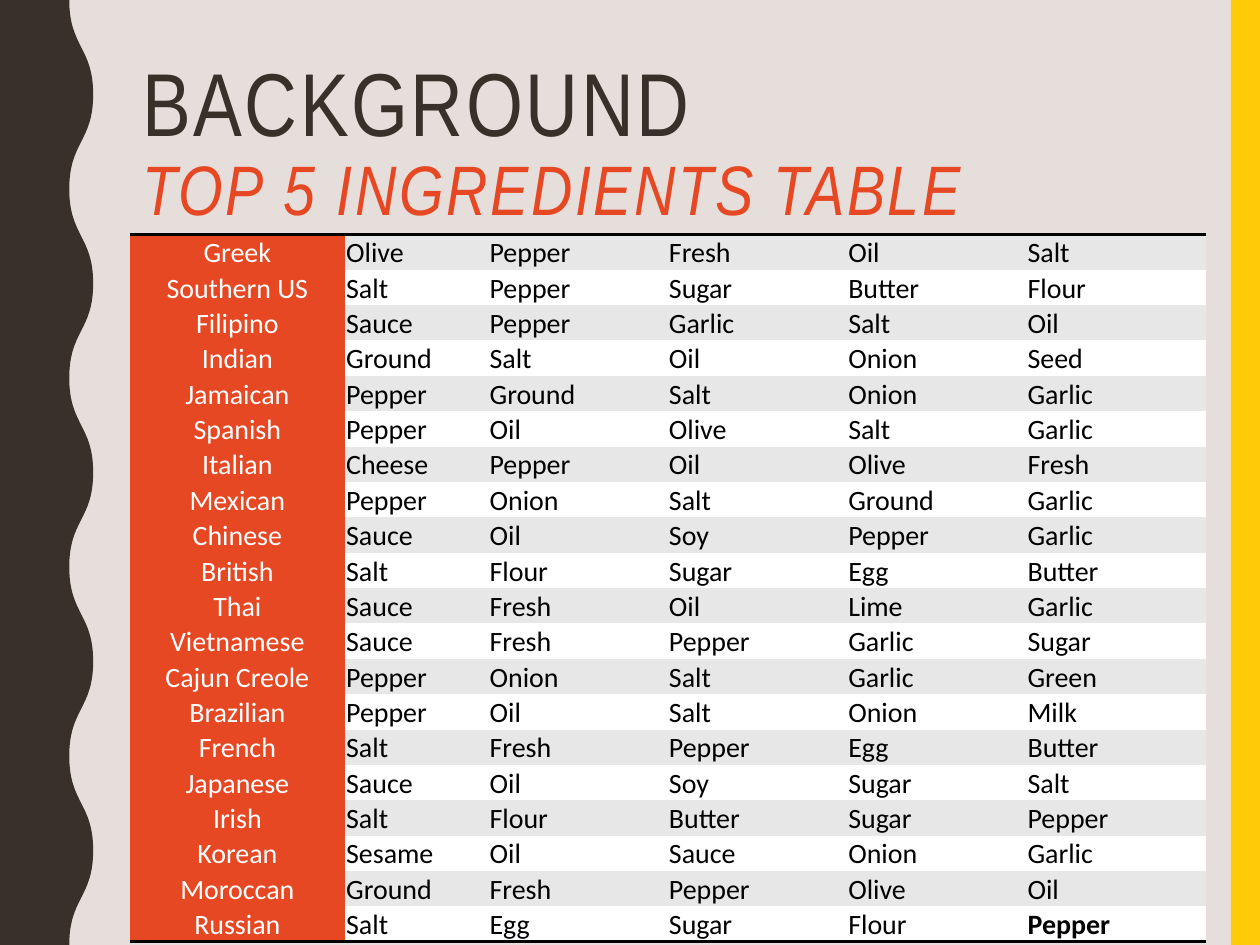
from lxml import etree
from pptx import Presentation
from pptx.dml.color import RGBColor
from pptx.enum.shapes import MSO_SHAPE
from pptx.enum.text import MSO_ANCHOR, PP_ALIGN
from pptx.oxml import parse_xml
from pptx.oxml.ns import nsdecls, qn
from pptx.util import Inches, Pt

RECTANGLE = MSO_SHAPE.RECTANGLE
TOP, BOTTOM = MSO_ANCHOR.TOP, MSO_ANCHOR.BOTTOM
CENTER, LEFT = PP_ALIGN.CENTER, PP_ALIGN.LEFT

BACKDROP = RGBColor(0xE5, 0xDE, 0xDB)
BROWN = RGBColor(0x39, 0x30, 0x2A)
YELLOW = RGBColor(0xFF, 0xCA, 0x08)
ORANGE = RGBColor(0xE6, 0x48, 0x23)
GRAY = RGBColor(0xE7, 0xE7, 0xE7)
WHITE = RGBColor(0xFF, 0xFF, 0xFF)
BLACK = RGBColor(0, 0, 0)

TITLE_FONT, TABLE_FONT = "Arial Narrow", "Calibri"
SLIDE_WIDTH, SLIDE_HEIGHT = 10, 7.5
NO_TABLE_STYLE = "{2D5ABB26-0587-4C30-8999-92F81FD0307C}"
COLUMN_SHARES = [6, 4, 5, 5, 5, 5]

CUISINES = [
    ("Greek", "Olive", "Pepper", "Fresh", "Oil", "Salt"),
    ("Southern US", "Salt", "Pepper", "Sugar", "Butter", "Flour"),
    ("Filipino", "Sauce", "Pepper", "Garlic", "Salt", "Oil"),
    ("Indian", "Ground", "Salt", "Oil", "Onion", "Seed"),
    ("Jamaican", "Pepper", "Ground", "Salt", "Onion", "Garlic"),
    ("Spanish", "Pepper", "Oil", "Olive", "Salt", "Garlic"),
    ("Italian", "Cheese", "Pepper", "Oil", "Olive", "Fresh"),
    ("Mexican", "Pepper", "Onion", "Salt", "Ground", "Garlic"),
    ("Chinese", "Sauce", "Oil", "Soy", "Pepper", "Garlic"),
    ("British", "Salt", "Flour", "Sugar", "Egg", "Butter"),
    ("Thai", "Sauce", "Fresh", "Oil", "Lime", "Garlic"),
    ("Vietnamese", "Sauce", "Fresh", "Pepper", "Garlic", "Sugar"),
    ("Cajun Creole", "Pepper", "Onion", "Salt", "Garlic", "Green"),
    ("Brazilian", "Pepper", "Oil", "Salt", "Onion", "Milk"),
    ("French", "Salt", "Fresh", "Pepper", "Egg", "Butter"),
    ("Japanese", "Sauce", "Oil", "Soy", "Sugar", "Salt"),
    ("Irish", "Salt", "Flour", "Butter", "Sugar", "Pepper"),
    ("Korean", "Sesame", "Oil", "Sauce", "Onion", "Garlic"),
    ("Moroccan", "Ground", "Fresh", "Pepper", "Olive", "Oil"),
    ("Russian", "Salt", "Egg", "Sugar", "Flour", "Pepper"),
]


def paint(shape, color):
    shape.fill.solid()
    shape.fill.fore_color.rgb = color
    shape.line.fill.background()
    shape.shadow.inherit = False


def format_run(run, font, size, color):
    run.font.name = font
    run.font.size = Pt(size)
    run.font.color.rgb = color


def add_side_bar(slide, left, top, width, height):
    bar = slide.shapes.add_shape(
        RECTANGLE, Inches(left), Inches(top), Inches(width), Inches(height))
    paint(bar, YELLOW)


def bend(line, start, end):
    """Turn a straight outline segment into an S-curve with upright ends."""
    line.tag = qn("a:cubicBezTo")
    for point in list(line):
        line.remove(point)
    middle = (start[1] + end[1]) // 2
    for x, y in [(start[0], middle), (end[0], middle), end]:
        etree.SubElement(line, qn("a:pt"), x=str(x), y=str(y))


def add_wavy_band(slide, left, top, width, height, trough=0.55, waves=5):
    """Draw a band whose right edge swings between trough and width."""
    half_wave = height / (2 * waves)
    nodes = [(Inches(width if index % 2 else trough), Inches(index * half_wave))
             for index in range(2 * waves + 1)]
    corners = [(0, Inches(height)), (0, 0)]
    builder = slide.shapes.build_freeform(*nodes[0])
    builder.add_line_segments(nodes[1:] + corners)
    band = builder.convert_to_shape(Inches(left), Inches(top))
    lines = list(band._element.iter(qn("a:lnTo")))
    for line, start, end in zip(lines, nodes, nodes[1:]):
        bend(line, start, end)
    paint(band, BROWN)


def add_title(slide, left, top, width, height):
    box = slide.shapes.add_textbox(
        Inches(left), Inches(top), Inches(width), Inches(height))
    frame = box.text_frame
    frame.word_wrap = True
    frame.vertical_anchor = TOP
    paragraph = frame.paragraphs[0]
    paragraph.text = "BACKGROUND\vTOP 5 INGREDIENTS TABLE"
    paragraph.line_spacing = 0.9
    heading, subheading = paragraph.runs
    format_run(heading, TITLE_FONT, 51, BROWN)
    format_run(subheading, TITLE_FONT, 40, ORANGE)
    subheading.font.italic = True
    for run in paragraph.runs:
        run.font._element.set("spc", "150")


def add_rule(cell, tag):
    """Give one side of a cell, lnT or lnB, a black 2 pt border."""
    border = parse_xml(f'<a:{tag} {nsdecls("a")} w="{Pt(2)}"/>')
    fill = etree.SubElement(border, qn("a:solidFill"))
    etree.SubElement(fill, qn("a:srgbClr"), val=str(BLACK))
    cell._tc.get_or_add_tcPr().insert(0, border)


def fill_cell(cell, text, fill, color, alignment):
    cell.fill.solid()
    cell.fill.fore_color.rgb = fill
    cell.margin_left = cell.margin_right = Inches(0.01)
    cell.margin_top = Pt(1)
    cell.margin_bottom = 0
    cell.vertical_anchor = BOTTOM
    paragraph = cell.text_frame.paragraphs[0]
    paragraph.text = text
    paragraph.alignment = alignment
    format_run(paragraph.runs[0], TABLE_FONT, 16, color)


def add_ingredient_table(slide, left, top, width, height):
    table = slide.shapes.add_table(
        len(CUISINES), len(COLUMN_SHARES),
        Inches(left), Inches(top), Inches(width), Inches(height)).table
    table.first_row = table.horz_banding = False
    table._tbl.tblPr.find(qn("a:tableStyleId")).text = NO_TABLE_STYLE
    for column, share in zip(table.columns, COLUMN_SHARES):
        column.width = Inches(width * share / sum(COLUMN_SHARES))
    for row in table.rows:
        row.height = Inches(height / len(CUISINES))

    for row_index, texts in enumerate(CUISINES):
        band = GRAY if row_index % 2 == 0 else WHITE
        for column_index, text in enumerate(texts):
            cell = table.cell(row_index, column_index)
            if column_index == 0:
                fill_cell(cell, text, ORANGE, WHITE, CENTER)
            else:
                fill_cell(cell, text, band, BLACK, LEFT)
            if row_index == 0:
                add_rule(cell, "lnT")
            elif row_index == len(CUISINES) - 1:
                add_rule(cell, "lnB")
    last_cell = table.cell(len(CUISINES) - 1, len(COLUMN_SHARES) - 1)
    last_cell.text_frame.paragraphs[0].runs[0].font.bold = True


def main():
    presentation = Presentation()
    presentation.slide_width = Inches(SLIDE_WIDTH)
    presentation.slide_height = Inches(SLIDE_HEIGHT)
    slide = presentation.slides.add_slide(presentation.slide_layouts[6])
    slide.background.fill.solid()
    slide.background.fill.fore_color.rgb = BACKDROP
    add_side_bar(slide, 9.77, 0, 0.23, SLIDE_HEIGHT)
    add_wavy_band(slide, 0, 0, 0.74, SLIDE_HEIGHT)
    add_title(slide, 1.03, 0.42, 8.35, 1.63)
    add_ingredient_table(slide, 1.03, 1.86, 8.54, 5.51)
    presentation.save("out.pptx")


if __name__ == "__main__":
    main()
